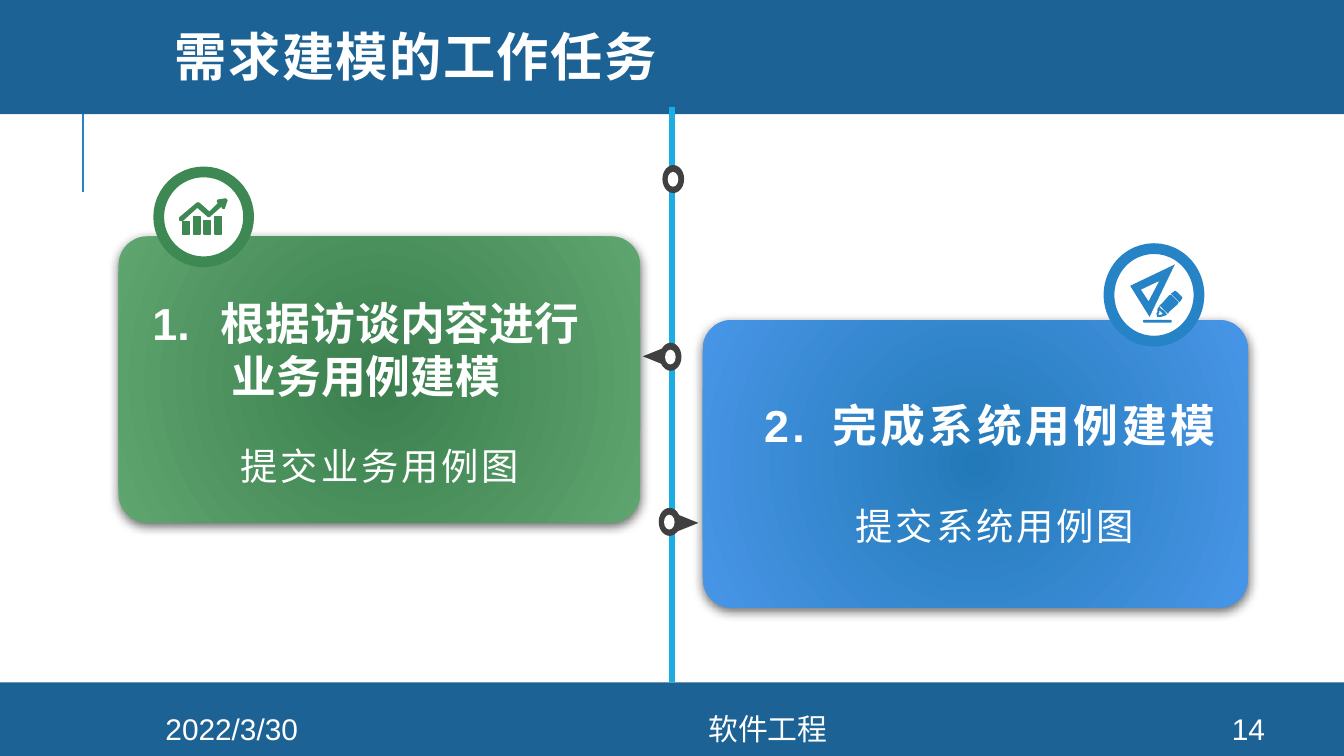
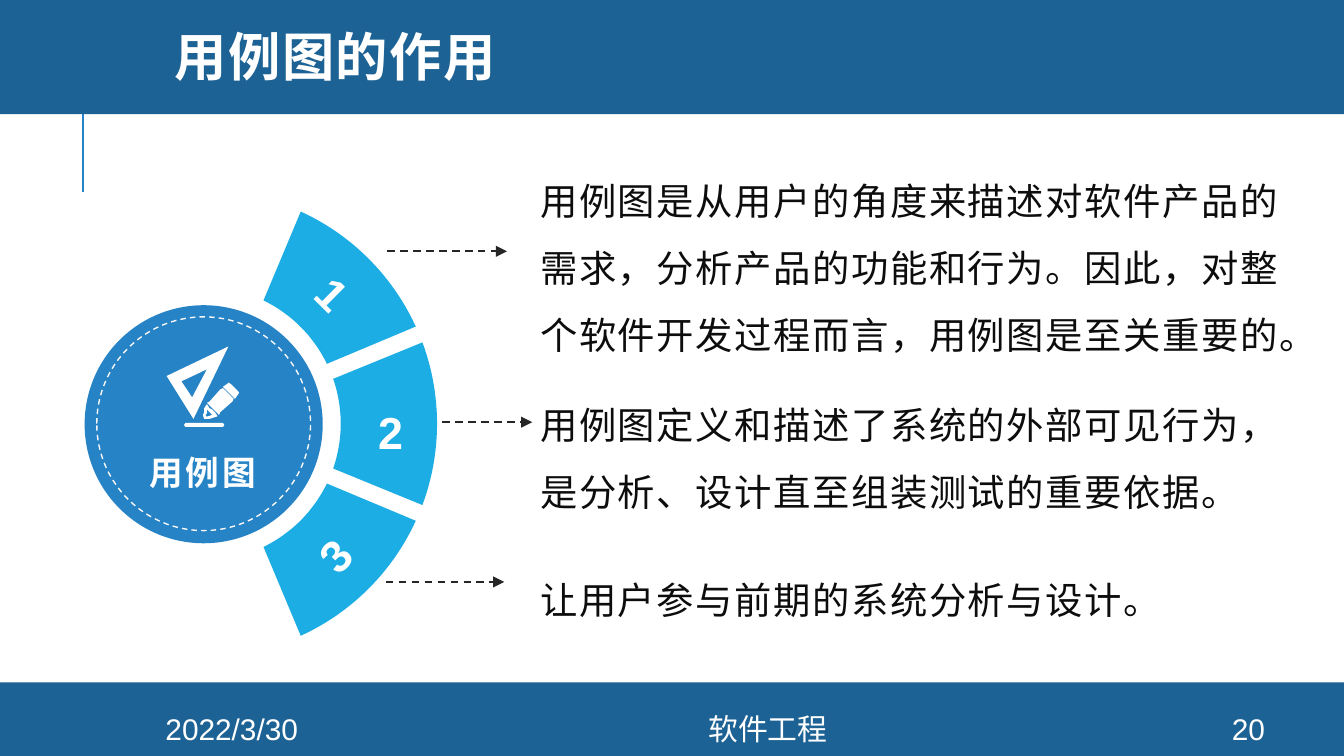
from dataclasses import dataclass
from math import cos, radians, sin

from lxml.etree import SubElement
from pptx import Presentation
from pptx.dml.color import RGBColor
from pptx.enum.dml import MSO_LINE_DASH_STYLE as Dash
from pptx.enum.shapes import MSO_CONNECTOR as Connector
from pptx.enum.shapes import MSO_SHAPE as Preset
from pptx.enum.text import MSO_ANCHOR as Anchor
from pptx.enum.text import MSO_AUTO_SIZE as AutoSize
from pptx.enum.text import PP_ALIGN as Align
from pptx.oxml.ns import qn
from pptx.util import Cm, Pt

COLORS = {
    "white": "FFFFFF", "band": "1D6294", "blue": "2683C6", "cyan": "1CADE4",
    "green": "3E8853", "dark": "404040", "arrow": "262626", "ink": "0D0D0D",
    "dash": "F8F8F8", "shadow": "000000",
    "green_in": "3A7F4D", "green_out": "5FA56F",
    "blue_in": "237AB8", "blue_out": "4895E7",
}
SECTOR_CENTER = (3.85, 8.01)
OUTER_RADIUS, INNER_RADIUS = 4.41, 2.59
OUTER_SPAN, INNER_SPAN = 20.4, 19.1

BAR_TOPS = (17, 13, 16, 13)
CHART_ICON = [
    [(2 + 8 * i, top), (7 + 8 * i, top), (7 + 8 * i, 26), (2 + 8 * i, 26)]
    for i, top in enumerate(BAR_TOPS)
] + [[(34, 0), (28, 1), (28, 2), (29, 3), (22, 10), (14, 3), (13, 3), (0, 14), (0, 16),
      (2, 16), (13, 6), (21, 13), (22, 13), (31, 5), (32, 7), (33, 7), (35, 1)]]
DESIGN_ICON = [
    [(14, 57), (42, 57), (43, 58.5), (42, 60), (14, 60), (13, 58.5)],
    [(46, 0), (0, 22), (20, 54)],
    [(11, 26), (30, 17), (19, 38)],
    [(53, 33), (48, 28), (46, 27), (45, 28), (42, 30), (51, 39), (53, 36), (54, 34.5)],
    [(27, 51), (28, 54), (30, 54), (32, 54), (35, 53), (38, 52), (36, 49), (34, 47),
     (32, 46), (30, 43), (28, 46), (28, 49)],
    [(29, 51), (30, 50), (30, 47), (32, 49), (34, 51), (31, 52), (29.5, 52)],
    [(43, 32), (42, 31), (40, 32), (32, 41), (30, 42), (32, 44), (37, 49), (39, 51),
     (40, 49), (49, 41), (50, 39), (49, 38)],
]


@dataclass(frozen=True)
class Box:
    left: float
    top: float
    width: float
    height: float

    def lengths(self) -> tuple:
        return Cm(self.left), Cm(self.top), Cm(self.width), Cm(self.height)


@dataclass(frozen=True)
class Style:
    size: float
    color: str = "white"
    bold: bool = False
    spacing: float = 0
    font: str = "Arial"
    align: Align = Align.CENTER
    line_spacing: object = None


@dataclass(frozen=True)
class Card:
    box: Box
    inner: str
    outer: str
    number: str
    heading: str
    heading_box: Box
    heading_style: Style
    number_gap: float
    task: str
    task_box: Box
    accent: str
    badge: Box
    icon: list
    icon_at: tuple
    icon_width: float


@dataclass(frozen=True)
class Role:
    number: str
    angle: float
    number_box: Box
    rotation: float
    arrow: tuple
    text: str
    text_box: Box


TASK = Style(20, spacing=1.5, line_spacing=1.5)
NUMBER = Style(24, bold=True, spacing=2, line_spacing=Pt(30))
ROLE = Style(20, "ink", spacing=0.8, align=Align.LEFT, line_spacing=1.5)
FOOTER = Style(16)

CARDS = [
    Card(Box(2.24, 4.47, 9.86, 5.41), "green_in", "green_out",
         "1.", "根据访谈内容进行业务用例建模", Box(2.51, 5.46, 8.81, 2.31),
         Style(24, bold=True), 10, "提交业务用例图", Box(3.68, 7.82, 7.01, 1.55),
         "green", Box(3, 3.25, 1.7, 1.7), CHART_ICON, (3.4, 3.76), 0.89),
    Card(Box(13.28, 6.05, 10.31, 5.44), "blue_in", "blue_out",
         "2.", "完成系统用例建模", Box(13.79, 7.39, 9.83, 1.27),
         Style(24, bold=True, spacing=1.9), 6, "提交系统用例图", Box(15.39, 8.97, 6.83, 1.55),
         "blue", Box(20.96, 4.7, 1.7, 1.75), DESIGN_ICON, (21.36, 5), 0.99),
]
ROLES = [
    Role("1", -45, Box(5.16, 4.88, 2.29, 1.32), 44.8, (7.32, 9.58, 4.75),
         "用例图是从用户的角度来描述对软件产品的需求，分析产品的功能和行为。因此，"
         "对整个软件开发过程而言，用例图是至关重要的。", Box(9.96, 2.82, 14.66, 3.96)),
    Role("2", 0, Box(6.63, 7.49, 1.5, 1.32), 0, (8.36, 10.06, 7.98),
         "用例图定义和描述了系统的外部可见行为，是分析、设计直至组装测试的重要依据。",
         Box(9.96, 7.06, 14.66, 2.67)),
    Role("3", 45, Box(5.33, 9.83, 1.96, 1.32), 314.1, (7.29, 9.53, 11),
         "让用户参与前期的系统分析与设计。", Box(9.96, 10.36, 14.66, 1.55)),
]


def rgb(name: str) -> RGBColor:
    return RGBColor.from_string(COLORS[name])


def paint(shape, fill: str | None, line: str | None = None, weight: float = 0.75) -> None:
    shape.shadow.inherit = False
    if fill:
        shape.fill.solid()
        shape.fill.fore_color.rgb = rgb(fill)
    else:
        shape.fill.background()
    if line:
        shape.line.color.rgb = rgb(line)
        shape.line.width = Pt(weight)
    else:
        shape.line.fill.background()


def add_preset(slide, preset, box: Box, fill: str | None, line: str | None = None,
               weight: float = 0.75, rotation: float = 0):
    shape = slide.shapes.add_shape(preset, *box.lengths())
    paint(shape, fill, line, weight)
    shape.rotation = rotation
    return shape


def add_line(slide, start: tuple, end: tuple, color: str, weight: float):
    line = slide.shapes.add_connector(Connector.STRAIGHT, *map(Cm, start + end))
    line.line.color.rgb = rgb(color)
    line.line.width = Pt(weight)
    SubElement(line._element.spPr, qn("a:effectLst"))
    return line


def add_dashed_arrow(slide, left: float, right: float, y: float) -> None:
    arrow = add_line(slide, (left, y), (right, y), "arrow", 1)
    arrow.line.dash_style = Dash.DASH
    SubElement(arrow.line._get_or_add_ln(), qn("a:tailEnd"), type="triangle")


def add_outline(slide, contours: list, fill: str, origin: tuple = (0, 0),
                scale: float = 1, line: str | None = None) -> None:
    placed = [[(Cm(origin[0] + x * scale), Cm(origin[1] + y * scale)) for x, y in contour]
              for contour in contours]
    builder = slide.shapes.build_freeform(*placed[0][0])
    builder.add_line_segments(placed[0][1:])
    for contour in placed[1:]:
        builder.move_to(*contour[0])
        builder.add_line_segments(contour[1:])
    paint(builder.convert_to_shape(), fill, line)


def add_icon(slide, icon: list, origin: tuple, width: float, color: str,
             line: str | None = None) -> None:
    extent = max(x for contour in icon for x, _ in contour)
    add_outline(slide, icon, color, origin, width / extent, line)


def add_run(paragraph, text: str, style: Style, spacing: float) -> None:
    run = paragraph.add_run()
    run.text = text
    run.font.name = style.font
    run.font.size = Pt(style.size)
    run.font.bold = style.bold
    run.font.color.rgb = rgb(style.color)
    if spacing:
        run._r.get_or_add_rPr().set("spc", str(round(spacing * 100)))


def write(frame, pieces: list, style: Style) -> None:
    paragraph = frame.paragraphs[0]
    paragraph.alignment = style.align
    if style.line_spacing:
        paragraph.line_spacing = style.line_spacing
    for text, spacing in pieces:
        add_run(paragraph, text, style, spacing)


def add_text(slide, box: Box, style: Style, *pieces: tuple, wrap: bool = True,
             anchor: Anchor = Anchor.TOP):
    shape = slide.shapes.add_textbox(*box.lengths())
    frame = shape.text_frame
    frame.word_wrap = wrap
    frame.vertical_anchor = anchor
    write(frame, list(pieces), style)
    return shape


def start_slide(presentation, title: str, font: str, number: str):
    slide = presentation.slides.add_slide(presentation.slide_layouts[5])
    add_line(slide, (1.57, 3.63), (1.57, 1.73), "blue", 1.5)
    add_preset(slide, Preset.RECTANGLE, Box(0, 12.9, 25.4, 1.39), "band")
    add_preset(slide, Preset.RECTANGLE, Box(0, -0.08, 25.4, 2.24), "band")
    shape = slide.shapes.title
    shape._element.getparent().append(shape._element)
    shape.left, shape.top, shape.width, shape.height = Box(3.05, 0, 21.56, 2.31).lengths()
    shape.text_frame.auto_size = AutoSize.NONE
    shape.text_frame.vertical_anchor = Anchor.MIDDLE
    write(shape.text_frame, [(title, 0.8)],
          Style(28, bold=True, font=font, align=Align.LEFT, line_spacing=0.8))
    for text, left, width in (("2022/3/30", 2.13, 4.5), ("软件工程", 6.63, 15.77),
                              (number, 22.58, 2.03)):
        add_text(slide, Box(left, 13.49, width, 0.58), FOOTER, (text, 0), anchor=Anchor.MIDDLE)
    return slide


def add_card_panel(slide, card: Card) -> None:
    panel = add_preset(slide, Preset.ROUNDED_RECTANGLE, card.box, card.inner)
    panel.adjustments[0] = 0.1
    panel.fill.gradient()
    for stop, color in zip(panel.fill.gradient_stops, (card.inner, card.outer)):
        stop.color.rgb = rgb(color)
    properties = panel._element.spPr
    gradient = properties.find(qn("a:gradFill"))
    gradient.remove(gradient.find(qn("a:lin")))
    circle = SubElement(gradient, qn("a:path"), path="circle")
    SubElement(circle, qn("a:fillToRect"), {side: "100000" for side in "ltrb"})
    shadow = SubElement(properties.find(qn("a:effectLst")), qn("a:outerShdw"),
                        blurRad=str(Pt(6)), dist=str(Pt(2)), dir="5400000", rotWithShape="0")
    color = SubElement(shadow, qn("a:srgbClr"), val=COLORS["shadow"])
    SubElement(color, qn("a:alpha"), val="60000")


def add_card(slide, card: Card) -> None:
    add_card_panel(slide, card)
    add_preset(slide, Preset.OVAL, card.badge, "white", card.accent, 5.75)
    outline = card.accent if card.icon is CHART_ICON else None
    add_icon(slide, card.icon, card.icon_at, card.icon_width, card.accent, outline)
    spacing = card.heading_style.spacing
    add_text(slide, card.heading_box, card.heading_style, (card.number, spacing),
             (" ", card.number_gap), (card.heading, spacing))
    add_text(slide, card.task_box, TASK, (card.task, TASK.spacing))


def arc(radius: float, start: float, end: float, steps: int = 24) -> list:
    angles = [radians(start + (end - start) * i / steps) for i in range(steps + 1)]
    return [(SECTOR_CENTER[0] + radius * cos(angle), SECTOR_CENTER[1] + radius * sin(angle))
            for angle in angles]


def add_role(slide, role: Role) -> None:
    sector = (arc(OUTER_RADIUS, role.angle - OUTER_SPAN, role.angle + OUTER_SPAN)
              + arc(INNER_RADIUS, role.angle + INNER_SPAN, role.angle - INNER_SPAN))
    add_outline(slide, [sector], "cyan")
    number = add_text(slide, role.number_box, NUMBER, (role.number, NUMBER.spacing))
    number.rotation = role.rotation
    add_dashed_arrow(slide, *role.arrow)
    add_text(slide, role.text_box, ROLE, (role.text, ROLE.spacing))


def build_tasks(presentation) -> None:
    slide = start_slide(presentation, "需求建模的工作任务", "Montserrat", "14")
    add_line(slide, (12.7, 2.03), (12.7, 12.9), "cyan", 3)
    for left, top, rotation in ((12.19, 6.53, 270), (12.83, 9.68, 90)):
        add_preset(slide, Preset.ISOSCELES_TRIANGLE, Box(left, top, 0.33, 0.41), "dark",
                   rotation=rotation)
    for card in CARDS:
        add_card(slide, card)
    for left, top in ((12.52, 3.12), (12.47, 6.48), (12.45, 9.6)):
        add_preset(slide, Preset.OVAL, Box(left, top, 0.41, 0.53), "dark")
        add_preset(slide, Preset.OVAL, Box(left + 0.1, top + 0.13, 0.2, 0.28), "white")


def build_roles(presentation) -> None:
    slide = start_slide(presentation, "用例图的作用", "Arial", "20")
    for role in ROLES:
        add_role(slide, role)
    add_preset(slide, Preset.OVAL, Box(1.6, 5.77, 4.5, 4.5), "blue")
    ring = add_preset(slide, Preset.OVAL, Box(1.83, 5.99, 4.04, 4.04), None, "dash")
    ring.line.dash_style = Dash.DASH
    add_icon(slide, DESIGN_ICON, (3.15, 6.55), 1.37, "white")
    add_text(slide, Box(2.51, 8.41, 2.64, 1.02), Style(18, bold=True), ("用例图", 1.7), wrap=False)


def main() -> None:
    """Build the two slides on use case modelling."""
    presentation = Presentation()
    presentation.slide_width, presentation.slide_height = Cm(25.4), Cm(14.29)
    build_tasks(presentation)
    build_roles(presentation)
    presentation.save("out.pptx")


if __name__ == "__main__":
    main()
